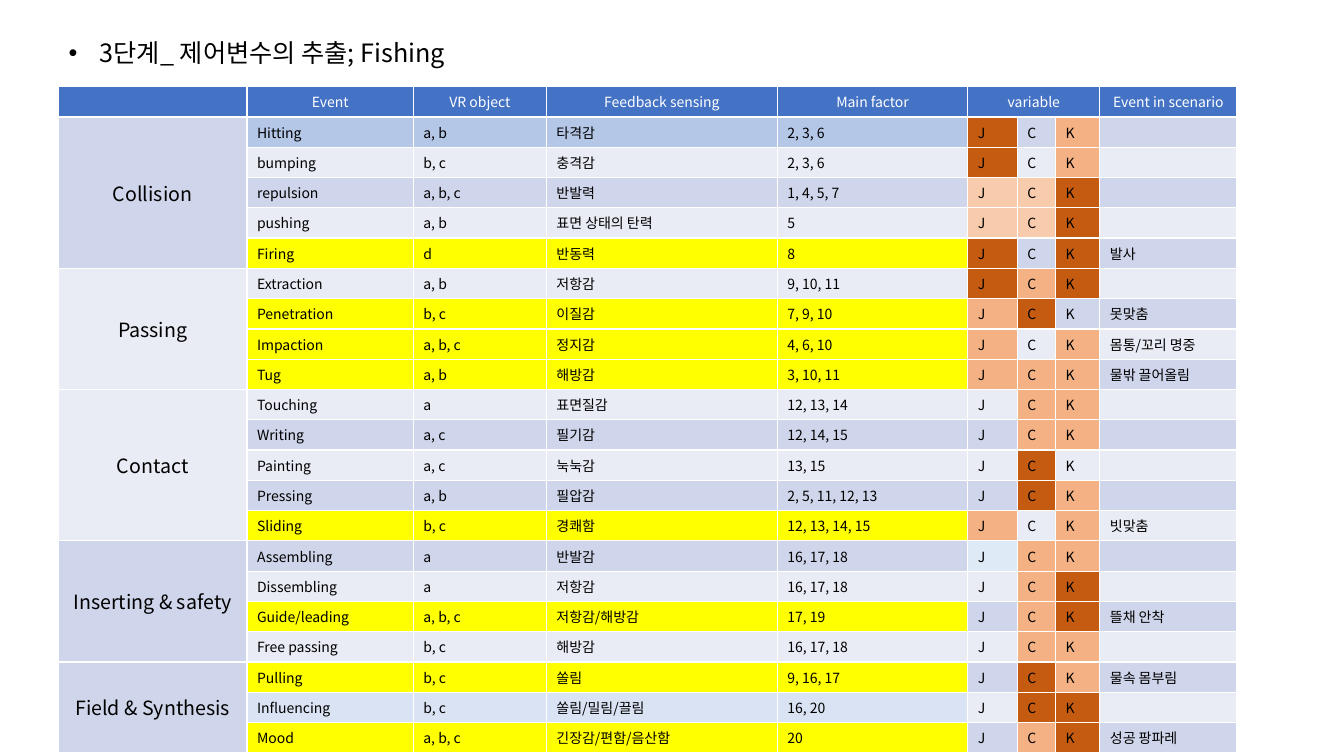
"""Build the control-variable extraction slide with its event table."""
from lxml.etree import SubElement
from pptx import Presentation
from pptx.dml.color import RGBColor
from pptx.enum.text import MSO_ANCHOR, MSO_AUTO_SIZE, PP_ALIGN
from pptx.oxml.ns import qn
from pptx.util import Inches, Pt

FONT = "Noto Sans CJK KR"
BLACK = RGBColor(0x00, 0x00, 0x00)
WHITE = RGBColor(0xFF, 0xFF, 0xFF)
HEADER = RGBColor(0x44, 0x72, 0xC4)
BANDS = (RGBColor(0xE9, 0xEB, 0xF5), RGBColor(0xCF, 0xD5, 0xEA))
YELLOW = RGBColor(0xFF, 0xFF, 0x00)
BLUE = RGBColor(0xB4, 0xC7, 0xE7)
PALE_BLUE = RGBColor(0xDA, 0xE3, 0xF3)
LEVELS = {
    "D": RGBColor(0xC5, 0x5A, 0x11),
    "M": RGBColor(0xF4, 0xB1, 0x83),
    "L": RGBColor(0xF8, 0xCB, 0xAD),
    "I": RGBColor(0xDE, 0xEB, 0xF7),
}

TITLE = "3단계_ 제어변수의 추출; Fishing"
HEADINGS = ("", "Event", "VR object", "Feedback sensing", "Main factor",
            "variable", "", "", "Event in scenario")
VARIABLES = "JCK"
WIDTHS = (1.87, 1.65, 1.32, 2.29, 1.89, 0.49, 0.38, 0.44, 1.36)
LEFT, TOP, ROW_HEIGHT = 0.58, 0.86, 0.3

# Each event: name, objects, sensing, factors, J-C-K levels, scenario, highlight
GROUPS = (
    ("Collision", (
        ("Hitting", "a, b", "타격감", "2, 3, 6", "D.M", "", BLUE),
        ("bumping", "b, c", "충격감", "2, 3, 6", "D.M", "", None),
        ("repulsion", "a, b, c", "반발력", "1, 4, 5, 7", "LLD", "", None),
        ("pushing", "a, b", "표면 상태의 탄력", "5", "LLD", "", None),
        ("Firing", "d", "반동력", "8", "D.D", "발사", YELLOW),
    )),
    ("Passing", (
        ("Extraction", "a, b", "저항감", "9, 10, 11", "DMD", "", None),
        ("Penetration", "b, c", "이질감", "7, 9, 10", "MD.", "못맞춤", YELLOW),
        ("Impaction", "a, b, c", "정지감", "4, 6, 10", "M.M", "몸통/꼬리 명중", YELLOW),
        ("Tug", "a, b", "해방감", "3, 10, 11", "MMM", "물밖 끌어올림", YELLOW),
    )),
    ("Contact", (
        ("Touching", "a", "표면질감", "12, 13, 14", ".MM", "", None),
        ("Writing", "a, c", "필기감", "12, 14, 15", ".MM", "", None),
        ("Painting", "a, c", "눅눅감", "13, 15", ".D.", "", None),
        ("Pressing", "a, b", "필압감", "2, 5, 11, 12, 13", ".DM", "", None),
        ("Sliding", "b, c", "경쾌함", "12, 13, 14, 15", "M.M", "빗맞춤", YELLOW),
    )),
    ("Inserting & safety", (
        ("Assembling", "a", "반발감", "16, 17, 18", "IMM", "", None),
        ("Dissembling", "a", "저항감", "16, 17, 18", ".MD", "", None),
        ("Guide/leading", "a, b, c", "저항감/해방감", "17, 19", ".MD", "뜰채 안착", YELLOW),
        ("Free passing", "b, c", "해방감", "16, 17, 18", ".MM", "", None),
    )),
    ("Field & Synthesis", (
        ("Pulling", "b, c", "쏠림", "9, 16, 17", ".DM", "물속 몸부림", YELLOW),
        ("Influencing", "b, c", "쏠림/밀림/끌림", "16, 20", ".DD", "", PALE_BLUE),
        ("Mood", "a, b, c", "긴장감/편함/음산함", "20", ".MD", "성공 팡파레", YELLOW),
    )),
)


def write(para, text, size, color=BLACK, align=PP_ALIGN.LEFT):
    """Add one formatted run to a paragraph."""
    para.alignment = align
    span = para.add_run()
    span.text = text
    span.font.size = Pt(size)
    span.font.name = FONT
    span.font.bold = False
    span.font.color.rgb = color
    SubElement(span.font._element, qn("a:ea"), typeface=FONT)


def fill_cell(cell, text, fill, size=10, color=BLACK, align=PP_ALIGN.LEFT):
    """Colour a cell and write its text, keeping empty cells low."""
    cell.fill.solid()
    cell.fill.fore_color.rgb = fill
    para = cell.text_frame.paragraphs[0]
    if text:
        write(para, text, size, color, align)
    else:
        SubElement(para._p, qn("a:endParaRPr"), sz="1000")


def add_heading(page):
    """Format the title placeholder as a bulleted line."""
    box = page.shapes.title
    box.left, box.top = Inches(LEFT), Inches(0.35)
    box.width, box.height = Inches(5.74), Inches(0.71)
    frame = box.text_frame
    frame.word_wrap = True
    frame.auto_size = MSO_AUTO_SIZE.NONE
    frame.vertical_anchor = MSO_ANCHOR.TOP
    para = frame.paragraphs[0]
    para.line_spacing = 0.9
    write(para, TITLE, 18)
    properties = para._p.get_or_add_pPr()
    properties.set("marL", str(Inches(0.31)))
    properties.set("indent", str(-Inches(0.31)))
    SubElement(properties, qn("a:buFont"), typeface="Arial")
    SubElement(properties, qn("a:buChar"), char="•")


def add_event_table(page):
    """Lay out the header, the merged groups and the event rows."""
    count = 1 + sum(len(events) for _, events in GROUPS)
    table = page.shapes.add_table(
        count, len(WIDTHS), Inches(LEFT), Inches(TOP),
        Inches(sum(WIDTHS)), Inches(count * ROW_HEIGHT)).table
    for column, width in zip(table.columns, WIDTHS):
        column.width = Inches(width)
    for column, heading in enumerate(HEADINGS):
        fill_cell(table.cell(0, column), heading, HEADER, 10, WHITE, PP_ALIGN.CENTER)
    table.cell(0, 5).merge(table.cell(0, 7))

    row = 1
    for group, events in GROUPS:
        first = row
        for name, objects, sensing, factors, levels, scenario, highlight in events:
            band = BANDS[row % 2]
            texts = (name, objects, sensing, factors, *VARIABLES, scenario)
            fills = [highlight or band] * 4
            fills += [LEVELS.get(level, band) for level in levels] + [band]
            for column, (text, fill) in enumerate(zip(texts, fills), start=1):
                fill_cell(table.cell(row, column), text, fill)
            fill_cell(table.cell(row, 0), group if row == first else "",
                      BANDS[first % 2], 14, BLACK, PP_ALIGN.CENTER)
            row += 1
        table.cell(first, 0).merge(table.cell(row - 1, 0))
        table.cell(first, 0).vertical_anchor = MSO_ANCHOR.MIDDLE


def main():
    """Create and save the deck."""
    deck = Presentation()
    deck.slide_width, deck.slide_height = Inches(13.33), Inches(7.5)
    page = deck.slides.add_slide(deck.slide_layouts[5])
    add_event_table(page)
    add_heading(page)
    deck.save("out.pptx")


if __name__ == "__main__":
    main()
